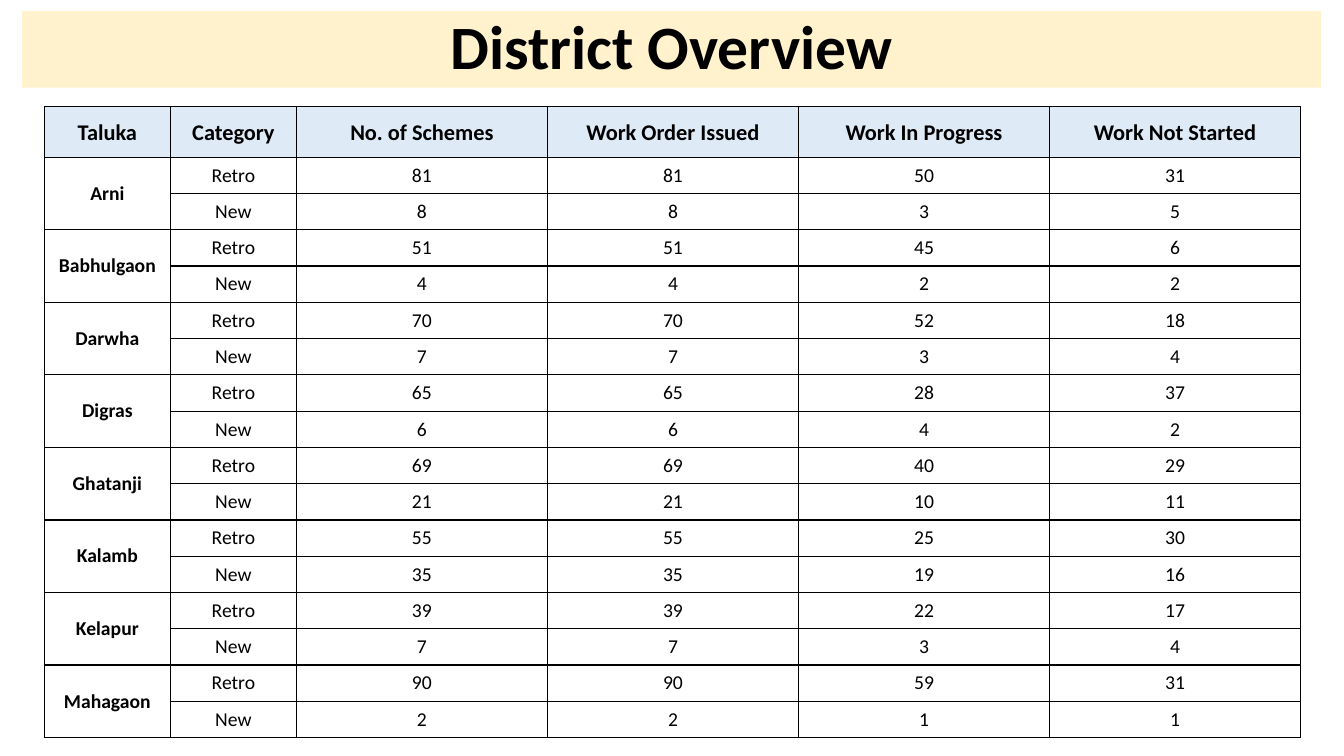
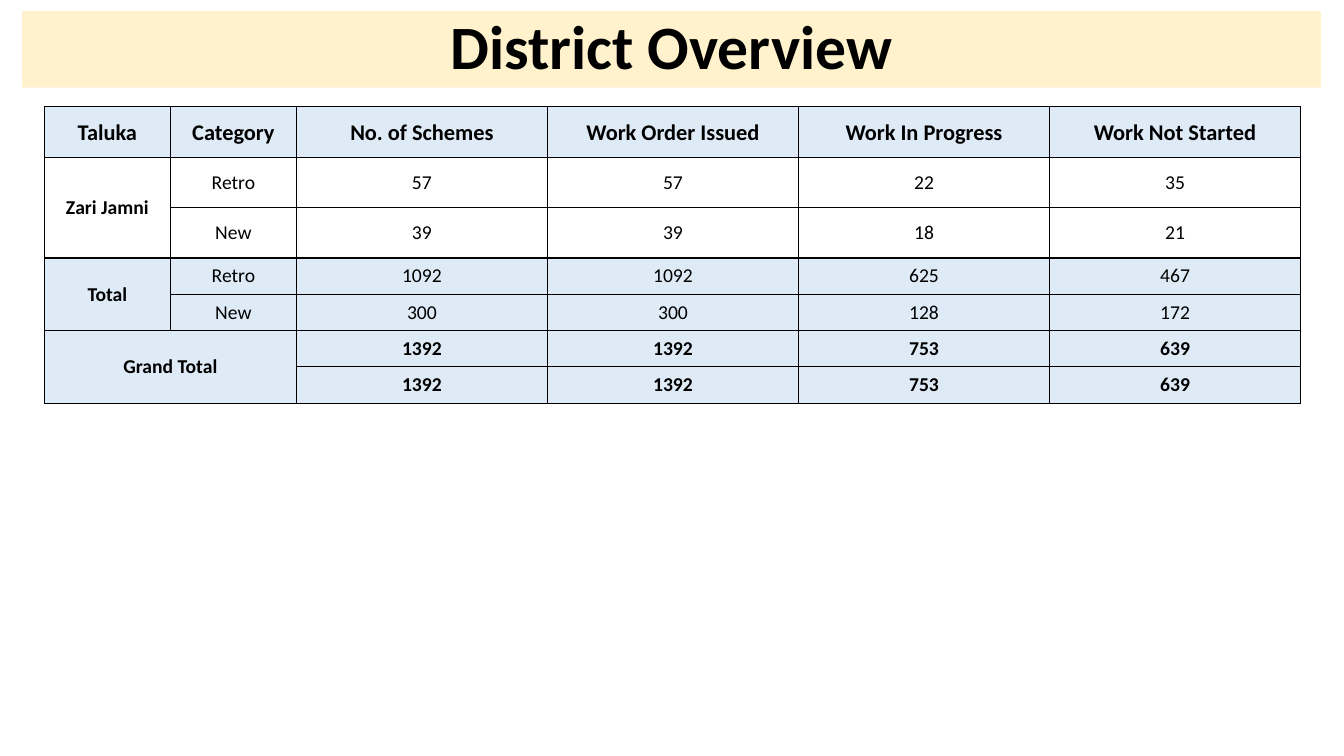
from lxml.etree import SubElement
from pptx import Presentation
from pptx.dml.color import RGBColor
from pptx.enum.shapes import MSO_SHAPE
from pptx.enum.text import MSO_ANCHOR, PP_ALIGN
from pptx.oxml.ns import qn
from pptx.util import Inches, Pt

COLORS = {"band": "FFF2CC", "accent": "DEEBF7", "plain": "FFFFFF", "ink": "000000"}
FONT = "Calibri"
TITLE = "District Overview"
TITLE_BOX = (0.22, 0.11, 12.88, 0.76)
TABLE_ORIGIN = (0.44, 1.06)
COLUMN_WIDTHS = [1.25] * 2 + [2.49] * 4
HEADER_HEIGHT = 0.5
ROW_HEIGHT = 0.36
HEADER_INSETS = (0.01, 0.01, 0.01, 0)
BODY_INSETS = (0.03, 0.02, 0.03, 0.02)
HEADINGS = ["Taluka", "Category", "No. of Schemes", "Work Order Issued",
            "Work In Progress", "Work Not Started"]
CATEGORIES = ("Retro", "New")

TALUKAS = [
    ("Arni", (81, 81, 50, 31), (8, 8, 3, 5)),
    ("Babhulgaon", (51, 51, 45, 6), (4, 4, 2, 2)),
    ("Darwha", (70, 70, 52, 18), (7, 7, 3, 4)),
    ("Digras", (65, 65, 28, 37), (6, 6, 4, 2)),
    ("Ghatanji", (69, 69, 40, 29), (21, 21, 10, 11)),
    ("Kalamb", (55, 55, 25, 30), (35, 35, 19, 16)),
    ("Kelapur", (39, 39, 22, 17), (7, 7, 3, 4)),
    ("Mahagaon", (90, 90, 59, 31), (2, 2, 1, 1)),
]
LAST_TALUKA = ("Zari Jamni", (57, 57, 22, 35), (39, 39, 18, 21))
TOTAL = ("Total", (1092, 1092, 625, 467), (300, 300, 128, 172))
GRAND_TOTAL = ("Grand Total", (1392, 1392, 753, 639), (1392, 1392, 753, 639))


def color(name):
    return RGBColor.from_string(COLORS[name])


def write_text(frame, text, size=14, bold=False, line_spacing=None):
    frame.word_wrap = True
    paragraph = frame.paragraphs[0]
    paragraph.alignment = PP_ALIGN.CENTER
    if line_spacing:
        paragraph.line_spacing = line_spacing
    run = paragraph.add_run()
    run.text = text
    run.font.name = FONT
    run.font.size = Pt(size)
    run.font.bold = bold
    run.font.color.rgb = color("ink")


def add_title_band(slide, box):
    band = slide.shapes.add_shape(MSO_SHAPE.RECTANGLE, *map(Inches, box))
    band.shadow.inherit = False
    band.fill.solid()
    band.fill.fore_color.rgb = color("band")
    band.line.fill.background()
    band.text_frame.vertical_anchor = MSO_ANCHOR.MIDDLE
    write_text(band.text_frame, TITLE, size=44, bold=True, line_spacing=0.9)


def style_cell(cell, fill, insets):
    properties = cell._tc.get_or_add_tcPr()
    for side in ("lnL", "lnR", "lnT", "lnB"):
        border = SubElement(properties, qn(f"a:{side}"), w=str(Pt(1)))
        solid = SubElement(border, qn("a:solidFill"))
        SubElement(solid, qn("a:srgbClr"), val=COLORS["ink"])
    cell.fill.solid()
    cell.fill.fore_color.rgb = color(fill)
    cell.vertical_anchor = MSO_ANCHOR.MIDDLE
    (cell.margin_left, cell.margin_top,
     cell.margin_right, cell.margin_bottom) = map(Inches, insets)


def add_group(table, top, group, fill="plain", grand=False):
    label, *figures = group
    for offset, (category, values) in enumerate(zip(CATEGORIES, figures)):
        for column in range(len(HEADINGS)):
            style_cell(table.cell(top + offset, column), fill, BODY_INSETS)
        if not grand:
            write_text(table.cell(top + offset, 1).text_frame, category)
        for column, value in enumerate(values, start=2):
            write_text(table.cell(top + offset, column).text_frame, str(value), bold=grand)
    label_cell = table.cell(top, 0)
    label_cell.merge(table.cell(top + 1, 1 if grand else 0))
    write_text(label_cell.text_frame, label, bold=True)


def add_overview_table(slide, origin, groups):
    heights = [HEADER_HEIGHT]
    for _, options, height in groups:
        heights += [height] * 2
    table = slide.shapes.add_table(
        len(heights), len(HEADINGS), *map(Inches, origin),
        Inches(sum(COLUMN_WIDTHS)), Inches(sum(heights))).table
    table.first_row = table.horz_banding = False
    for column, width in zip(table.columns, COLUMN_WIDTHS):
        column.width = Inches(width)
    for row, height in zip(table.rows, heights):
        row.height = Inches(height)
    for column, heading in enumerate(HEADINGS):
        cell = table.cell(0, column)
        style_cell(cell, "accent", HEADER_INSETS)
        write_text(cell.text_frame, heading, size=16, bold=True)
    for index, (group, options, _) in enumerate(groups):
        add_group(table, 1 + 2 * index, group, **options)


def add_overview_slide(deck, groups):
    slide = deck.slides.add_slide(deck.slide_layouts[6])
    add_title_band(slide, TITLE_BOX)
    add_overview_table(slide, TABLE_ORIGIN, groups)


def main():
    deck = Presentation()
    deck.slide_width, deck.slide_height = Inches(13.33), Inches(7.5)
    add_overview_slide(deck, [(taluka, {}, ROW_HEIGHT) for taluka in TALUKAS])
    add_overview_slide(deck, [
        (LAST_TALUKA, {}, HEADER_HEIGHT),
        (TOTAL, {"fill": "accent"}, ROW_HEIGHT),
        (GRAND_TOTAL, {"fill": "accent", "grand": True}, ROW_HEIGHT),
    ])
    deck.save("out.pptx")


if __name__ == "__main__":
    main()
